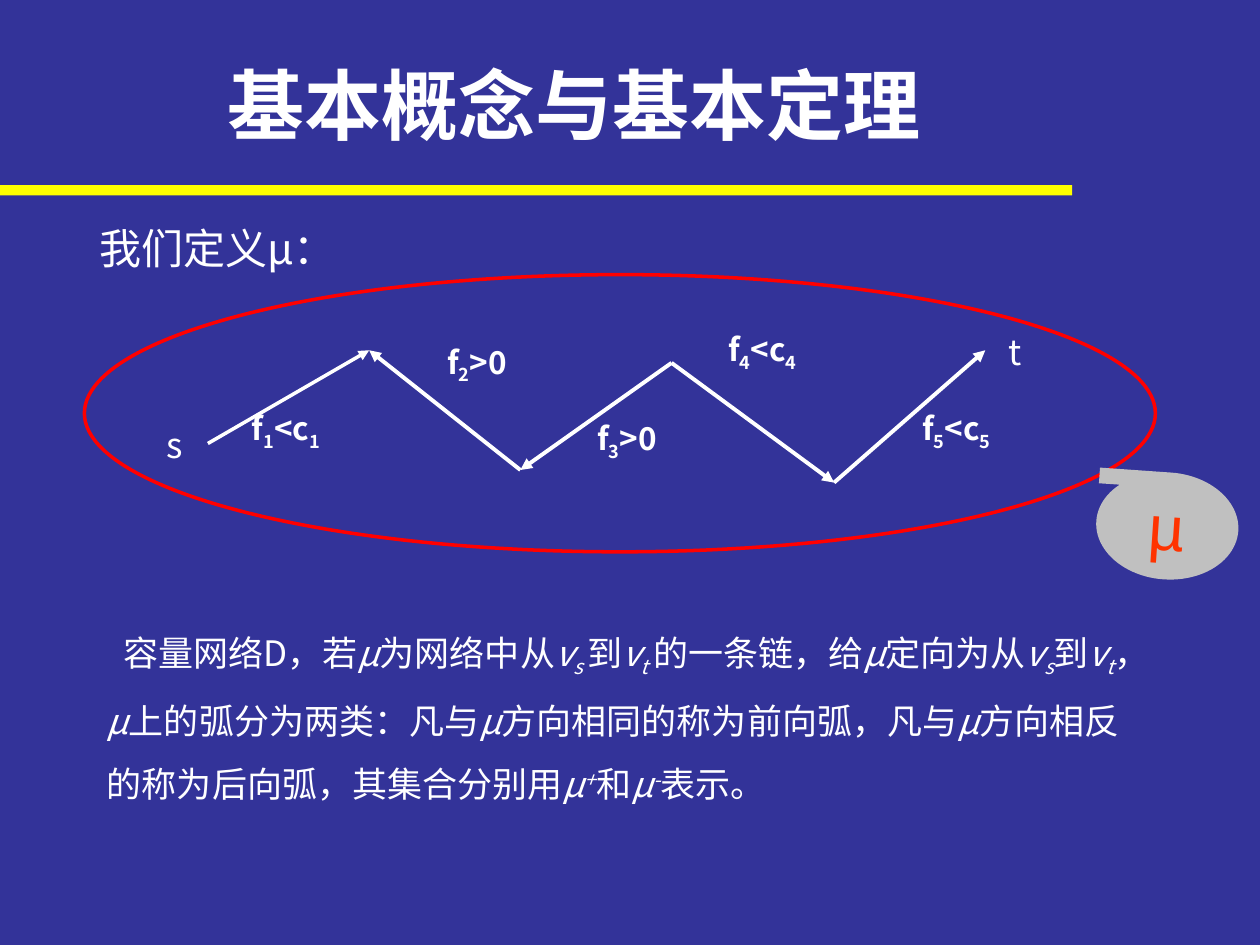
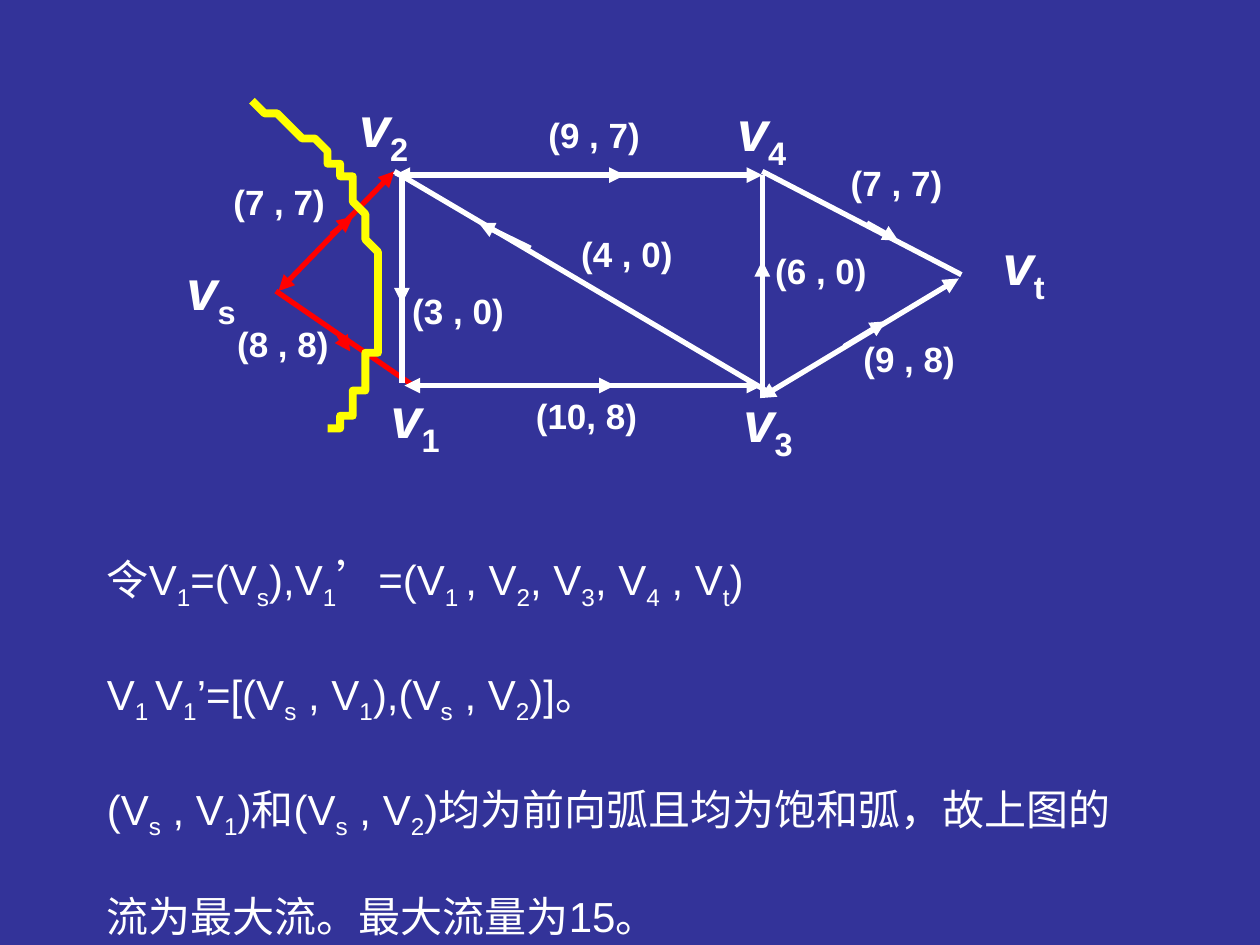
from itertools import pairwise
from lxml.etree import SubElement
from pptx import Presentation
from pptx.dml.color import RGBColor
from pptx.enum.shapes import MSO_CONNECTOR, MSO_SHAPE
from pptx.enum.text import MSO_ANCHOR, MSO_AUTO_SIZE, PP_ALIGN
from pptx.oxml.ns import qn
from pptx.util import Inches, Pt

WIDTH, HEIGHT = 10, 7.5
NAVY = RGBColor(0x33, 0x33, 0x99)
WHITE = RGBColor(0xFF, 0xFF, 0xFF)
YELLOW = RGBColor(0xFF, 0xFF, 0x00)
RED = RGBColor(0xFF, 0x00, 0x00)
ORANGE = RGBColor(0xFF, 0x33, 0x00)
SILVER = RGBColor(0xC0, 0xC0, 0xC0)
LATIN, CHINESE = "Arial", "Noto Sans CJK SC"

# Spans are split by "|"; leading marks: * italic, _ subscript, ^ superscript, ~ wide.
TITLE = "基本概念与基本定理"
INTRO = "我们定义µ："
CHAIN_TEXT = (
    "容量网络D，若|*μ|为网络中从|*v|*_s |到|*v|*_t |的一条链，给|*μ|定向为从|*v|*_s|到|*v|*_t|，|*μ|"
    "上的弧分为两类：凡与|*μ|方向相同的称为前向弧，凡与|*μ|方向相反的称为后向弧，"
    "其集合分别用|*μ|*^+|和|*μ|*^-|表示。"
)
CHAIN_POINTS = [(16.5, 35.2), (29.3, 27.8), (41.3, 37.3), (53.3, 28.8), (66.2, 38.3), (78.2, 27.8)]
FORWARD = [True, False, False, True, True]
CHAIN_ENDS = [("s", 12.2, 33.1), ("t", 79.1, 25.7)]
FLOW_LABELS = [
    ("f|_1|<c|_1", 19, 32),
    ("f|_4|<c|_4", 56.8, 25.7),
    ("f|_5|<c|_5", 72.2, 32),
    ("f|_2|>0", 34.5, 26.7),
    ("f|_3|>0", 46.4, 32.8),
]

ARCS = [
    ((22.1, 23.1), (31.3, 13.6), RED, "both"),
    ((21.9, 23.1), (32.8, 30.6), RED, ""),
    ((31.3, 13.9), (60.5, 13.9), WHITE, "both"),
    ((32.1, 30.6), (60.5, 30.6), WHITE, "both"),
    ((60.5, 13.9), (60.5, 31.6), WHITE, ""),
    ((60.5, 13.6), (76.3, 21.8), WHITE, ""),
    ((76.1, 22.1), (60.3, 31.6), WHITE, "both"),
    ((26.3, 18.6), (28, 17.2), RED, "end"),
    ((26.9, 26.6), (27.8, 27.9), RED, "end"),
    ((44.6, 13.9), (49.6, 13.9), WHITE, "end"),
    ((43, 30.6), (48.8, 30.6), WHITE, "end"),
    ((31.9, 13.9), (31.9, 30.4), WHITE, ""),
    ((31.3, 13.6), (61.3, 31.3), WHITE, ""),
    ((42.1, 19.7), (38, 17.7), WHITE, "end"),
    ((60.5, 24.1), (60.5, 20.7), WHITE, "end"),
    ((68.8, 17.7), (71.3, 19.1), WHITE, "end"),
    ((67, 27.5), (70.3, 25.5), WHITE, "end"),
    ((31.9, 19.4), (31.9, 24.1), WHITE, "end"),
]
VERTICES = [
    ("s", 12.6, 19.7), ("1", 28.8, 29.9), ("2", 26.3, 6.8),
    ("3", 56.8, 30.2), ("4", 56.3, 7.1), ("t", 77.1, 17.7),
]
CAPACITIES = [
    ("(7 , 7)", 15.9, 13.8), ("(8 , 8)", 16.2, 25.1), ("(9 , 7)", 40.9, 8.5),
    ("(4 , 0)", 43.5, 18), ("(3 , 0)", 30.1, 22.5), ("(10, 8)", 40.3, 30.8),
    ("(9 , 8)", 65.9, 26.3), ("(7 , 7)", 64.9, 12.3), ("(6 , 0)", 58.9, 19.3),
]
CUT_START = (19.7, 8)
CUT_CURVES = [
    [(22.7, 9.6), (25.7, 11.2), (27.4, 13.8)],
    [(29.1, 16.3), (29.8, 20.4), (30, 23.3)],
    [(30.1, 26.3), (29.1, 29.4), (28.5, 31.2)],
    [(27.9, 33.1), (26.6, 33.7), (26.3, 34.2)],
    [(25.9, 34.7), (26.3, 34.4), (26.3, 34.4)],
]
CUT_END = (25.8, 34.5)
RESULT_TEXT = [
    "令V|_1|=(V|_s|),V|_1|~’|=(V|_1 |, V|_2|, V|_3|, V|_4| , V|_t|)",
    "V|_1 |V|_1|’=[(V|_s| , V|_1|),(V|_s| , V|_2|)]。",
    "(V|_s| , V|_1|)和(V|_s| , V|_2|)均为前向弧且均为饱和弧，故上图的流为最大流。最大流量为15。",
]


def share(percent):
    return Inches(WIDTH * percent / 100)


def add_spans(para, text, size, face, color, bold):
    for part in text.split("|"):
        words = part.lstrip("*_^~")
        marks = part[: len(part) - len(words)]
        span = para.add_run()
        span.text = words
        values = {
            "size": Pt(size),
            "name": CHINESE if "~" in marks else face,
            "bold": bold,
            "italic": "*" in marks,
        }
        for key, value in values.items():
            setattr(span.font, key, value)
        span.font.color.rgb = color
        properties = span.font._element
        SubElement(properties, qn("a:ea")).set("typeface", CHINESE)
        for mark, offset in {"_": "-25000", "^": "30000"}.items():
            if mark in marks:
                properties.set("baseline", offset)


def fill_text(shape, texts, size, face=LATIN, color=WHITE, bold=False,
              align=PP_ALIGN.LEFT, spacing=1.0, indent=0):
    frame = shape.text_frame
    for index, text in enumerate(texts):
        para = frame.add_paragraph() if index else frame.paragraphs[0]
        para.alignment = align
        para.line_spacing = spacing
        if indent:
            para._p.get_or_add_pPr().set("indent", str(share(indent)))
        add_spans(para, text, size, face, color, bold)


def add_text(page, left, top, width, height, texts, size, **style):
    box = page.shapes.add_textbox(*map(share, (left, top, width, height)))
    box.text_frame.word_wrap = True
    box.text_frame.auto_size = MSO_AUTO_SIZE.SHAPE_TO_FIT_TEXT
    fill_text(box, texts, size, **style)


def add_arrow(page, start, end, color, weight, heads):
    arrow = page.shapes.add_connector(MSO_CONNECTOR.STRAIGHT, *map(share, start + end))
    arrow.line.color.rgb = color
    arrow.line.width = Pt(weight)
    outline = arrow.line._get_or_add_ln()
    if heads == "both":
        SubElement(outline, qn("a:headEnd")).set("type", "triangle")
    if heads:
        SubElement(outline, qn("a:tailEnd")).set("type", "triangle")
    SubElement(arrow._element.spPr, qn("a:effectLst"))


def paint(shape, fill=None, line=None, weight=1):
    shape.shadow.inherit = False
    if fill is None:
        shape.fill.background()
    else:
        shape.fill.solid()
        shape.fill.fore_color.rgb = fill
    if line is None:
        shape.line.fill.background()
    else:
        shape.line.color.rgb = line
        shape.line.width = Pt(weight)


def add_preset(page, kind, left, top, width, height, **colors):
    shape = page.shapes.add_shape(kind, *map(share, (left, top, width, height)))
    paint(shape, **colors)
    return shape


def curve_points(start, controls, steps=12):
    corners = [start, *controls]
    for step in range(1, steps + 1):
        t = step / steps
        weights = ((1 - t) ** 3, 3 * t * (1 - t) ** 2, 3 * t * t * (1 - t), t ** 3)
        yield tuple(sum(w * c[axis] for w, c in zip(weights, corners)) for axis in (0, 1))


def add_cut(page):
    points, start = [], CUT_START
    for controls in CUT_CURVES:
        points += curve_points(start, controls)
        start = controls[-1]
    builder = page.shapes.build_freeform(*CUT_START, scale=share(1))
    builder.add_line_segments(points + [CUT_END], close=False)
    paint(builder.convert_to_shape(), line=YELLOW, weight=4.5)


def add_page(deck):
    page = deck.slides.add_slide(deck.slide_layouts[6])
    page.background.fill.solid()
    page.background.fill.fore_color.rgb = NAVY
    return page


def add_chain_page(deck):
    page = add_page(deck)
    add_preset(page, MSO_SHAPE.RECTANGLE, 0, 14.7, 85.1, 0.8, fill=YELLOW)
    add_text(page, 17.1, 4.1, 63.6, 8.4, [TITLE], 44, bold=True)
    add_text(page, 7.5, 47.7, 85.1, 17.4, [CHAIN_TEXT], 20, face=CHINESE, spacing=1.5, indent=1.3)
    for index, (start, end) in enumerate(pairwise(CHAIN_POINTS)):
        if not FORWARD[index]:
            start, end = end, start
        add_arrow(page, start, end, WHITE, 2.25 if index else 2, "end")
    for name, left, top in CHAIN_ENDS:
        add_text(page, left, top, 12, 4.4, [name], 20, face=CHINESE)
    for label, left, top in FLOW_LABELS:
        add_text(page, left, top, 12, 4.4, [label], 18, face=CHINESE, bold=True)
    add_preset(page, MSO_SHAPE.OVAL, 6.7, 21.8, 85, 22, line=RED, weight=2)
    tape = add_preset(page, MSO_SHAPE.FLOWCHART_SEQUENTIAL_ACCESS_STORAGE, 87, 37.5, 11.3, 8.5, fill=SILVER)
    tape.rotation = 4
    for flip in ("flipH", "flipV"):
        tape._element.spPr.xfrm.set(flip, "1")
    frame = tape.text_frame
    frame.word_wrap = False
    frame.vertical_anchor = MSO_ANCHOR.MIDDLE
    frame._txBody.bodyPr.set("rot", "10800000")
    fill_text(tape, ["µ"], 36, color=ORANGE, align=PP_ALIGN.CENTER)
    add_text(page, 6.9, 17.2, 24.2, 5, [INTRO], 24, face=CHINESE)


def add_network_page(deck):
    page = add_page(deck)
    for start, end, color, heads in ARCS:
        add_arrow(page, start, end, color, 3, heads)
    for name, left, top in VERTICES:
        width = 7.5 if name == "s" else 8.3
        add_text(page, left + (name == "s") * 0.4, top, width, 7.1, [f"*v|_{name}"], 32,
                 bold=True, align=PP_ALIGN.CENTER)
    for label, left, top in CAPACITIES:
        add_text(page, left, top, 12.5, 4.4, [label], 20, bold=True, align=PP_ALIGN.CENTER)
    add_cut(page)
    add_text(page, 7.5, 38.9, 84.3, 36.3, RESULT_TEXT, 24, spacing=2.0)


def main():
    deck = Presentation()
    deck.slide_width, deck.slide_height = Inches(WIDTH), Inches(HEIGHT)
    add_chain_page(deck)
    add_network_page(deck)
    deck.save("out.pptx")


if __name__ == "__main__":
    main()
